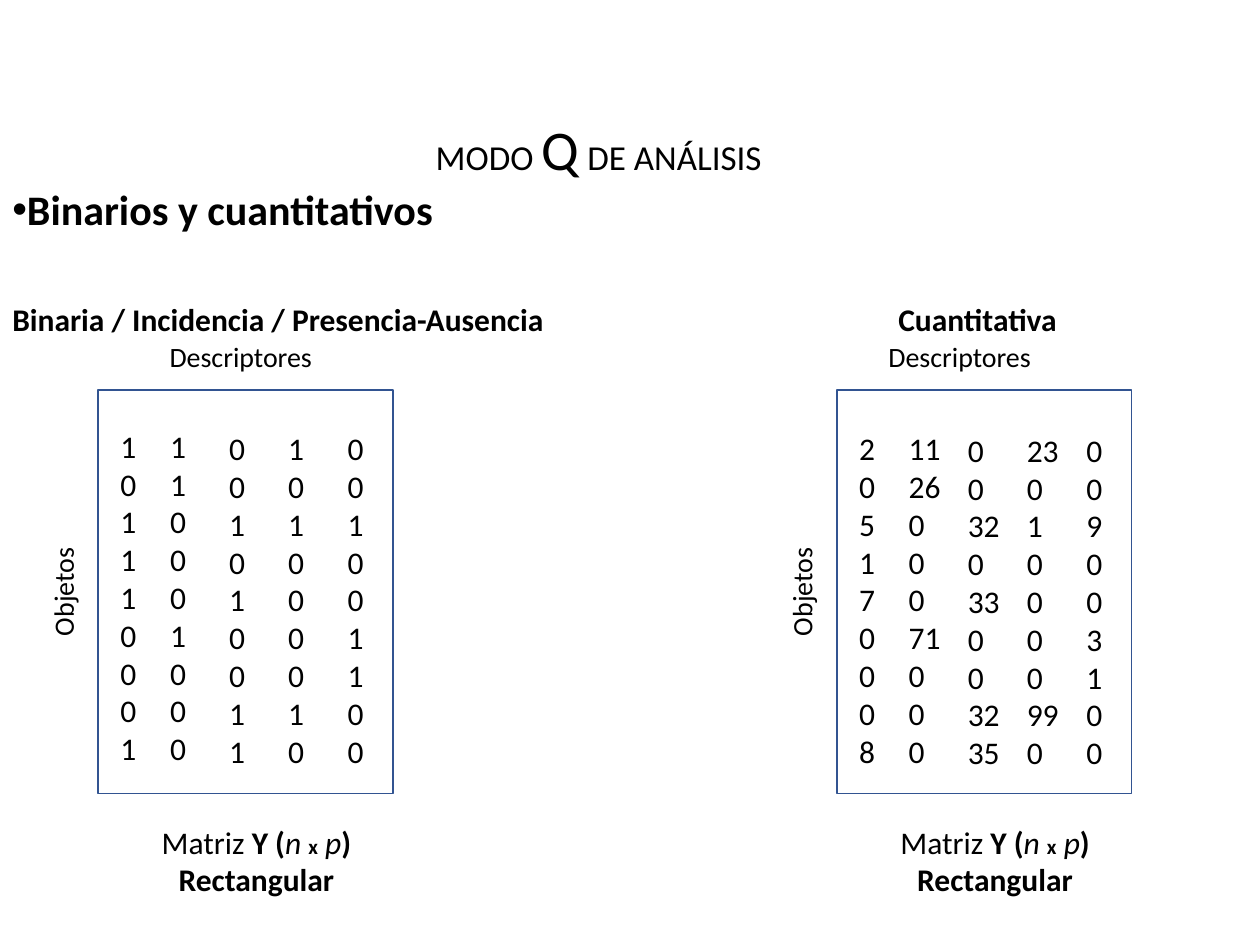
from lxml import etree
from pptx import Presentation
from pptx.dml.color import RGBColor
from pptx.enum.shapes import MSO_SHAPE
from pptx.enum.text import MSO_ANCHOR, MSO_AUTO_SIZE, PP_ALIGN
from pptx.oxml.ns import qn
from pptx.util import Cm, Pt

RECT = MSO_SHAPE.RECTANGLE
LEFT, CENTER = PP_ALIGN.LEFT, PP_ALIGN.CENTER
TOP, NO_FIT = MSO_ANCHOR.TOP, MSO_AUTO_SIZE.NONE

THEME = {
    "font": "Calibri",
    "text": RGBColor(0x00, 0x00, 0x00),
    "frame": RGBColor(0x32, 0x54, 0x91),
    "big": 32, "subtitle": 24, "title": 20, "body": 18, "label": 16, "small": 12,
}

# Content: a run is (text, size name, style letters b / i)
TITLE = [("MODO ", "title", ""), ("Q", "big", ""), (" DE ANÁLISIS", "title", "")]
SUBTITLE = [("Binarios y cuantitativos", "subtitle", "b")]
CAPTION = [
    [("Matriz ", "body", ""), ("Y (", "body", "b"), ("n ", "body", "i"),
     ("x", "small", "b"), (" ", "body", "b"), ("p", "body", "i"), (")", "body", "b")],
    [("Rectangular", "body", "b")],
]
PANELS = [
    {
        "heading": "Binaria / Incidencia / Presencia-Ausencia",
        "heading_box": (0, 13.69),
        "left": 1.98,
        "label_align": CENTER,
        "column_tops": (8.48, 8.48, 8.53, 8.53, 8.53),
        "column_widths": (0.99, 0.99, 0.99, 0.99, 0.99),
        "rows": [
            (1, 1, 0, 1, 0), (0, 1, 0, 0, 0), (1, 0, 1, 1, 1),
            (1, 0, 0, 0, 0), (1, 0, 1, 0, 0), (0, 1, 0, 0, 1),
            (0, 0, 0, 0, 1), (0, 0, 1, 1, 0), (1, 0, 1, 0, 0),
        ],
    },
    {
        "heading": "Cuantitativa",
        "heading_box": (17.86, 4.37),
        "left": 16.87,
        "label_align": LEFT,
        "column_tops": (8.53, 8.53, 8.56, 8.56, 8.56),
        "column_widths": (0.99, 1.4, 1.4, 1.4, 1.19),
        "rows": [
            (2, 11, 0, 23, 0), (0, 26, 0, 0, 0), (5, 0, 32, 1, 9),
            (1, 0, 0, 0, 0), (7, 0, 33, 0, 0), (0, 71, 0, 0, 3),
            (0, 0, 0, 0, 1), (0, 0, 32, 99, 0), (8, 0, 35, 0, 0),
        ],
    },
]
COLUMN_OFFSETS = (0.2, 1.2, 2.39, 3.58, 4.78)


def write(sp, paragraphs, align=LEFT, wrap=True):
    tf = sp.text_frame
    tf.word_wrap = wrap
    tf.auto_size = NO_FIT
    tf.vertical_anchor = TOP
    for i, runs in enumerate(paragraphs):
        p = tf.paragraphs[0] if i == 0 else tf.add_paragraph()
        p.alignment = align
        for text, size, style in runs:
            r = p.add_run()
            r.text = text
            r.font.name = THEME["font"]
            r.font.size = Pt(THEME[size])
            r.font.color.rgb = THEME["text"]
            r.font.bold = "b" in style
            r.font.italic = "i" in style


def add_text(s, box, paragraphs, align=LEFT, wrap=True):
    sp = s.shapes.add_textbox(*(Cm(v) for v in box))
    write(sp, paragraphs, align, wrap)
    return sp


def add_panel(s, panel):
    left = panel["left"]

    # Matrix frame
    sp = s.shapes.add_shape(RECT, Cm(left), Cm(7.87), Cm(5.94), Cm(8.13))
    sp.shadow.inherit = False
    sp.fill.background()
    sp.line.color.rgb = THEME["frame"]
    sp.line.width = Pt(1)

    # Heading, axis labels and caption
    x, width = panel["heading_box"]
    add_text(s, (x, 5.92, width, 1.02), [[(panel["heading"], "body", "b")]])
    add_text(s, (left + 0.79, 6.73, 4.17, 0.94),
             [[("Descriptores", "label", "")]], panel["label_align"])
    sp = add_text(s, (left - 2.41, 10.9, 3.4, 0.94), [[("Objetos", "label", "")]])
    sp.rotation = 270
    add_text(s, (left + 0.61, 16.46, 5.16, 1.8), CAPTION, CENTER)

    # Matrix values, one text box per column
    columns = zip(COLUMN_OFFSETS, panel["column_tops"], panel["column_widths"],
                  zip(*panel["rows"]))
    for offset, top, width, values in columns:
        add_text(s, (left + offset, top, width, 7.19),
                 [[(str(v), "body", "")] for v in values])


def main():
    prs = Presentation()
    prs.slide_width, prs.slide_height = Cm(25.4), Cm(19.05)
    s = prs.slides.add_slide(prs.slide_layouts[5])

    # Title
    sp = s.shapes.title
    sp.left, sp.top, sp.width, sp.height = Cm(8.53), Cm(2.18), Cm(8.33), Cm(1.6)
    write(sp, [TITLE], wrap=False)

    # Bulleted subtitle
    sp = add_text(s, (0, 3.58, 10.44, 1.27), [SUBTITLE], wrap=False)
    pPr = sp.text_frame.paragraphs[0]._p.get_or_add_pPr()
    etree.SubElement(pPr, qn("a:buFont")).set("typeface", "Arial")
    etree.SubElement(pPr, qn("a:buChar")).set("char", "•")

    for panel in PANELS:
        add_panel(s, panel)

    prs.save("out.pptx")


if __name__ == "__main__":
    main()
